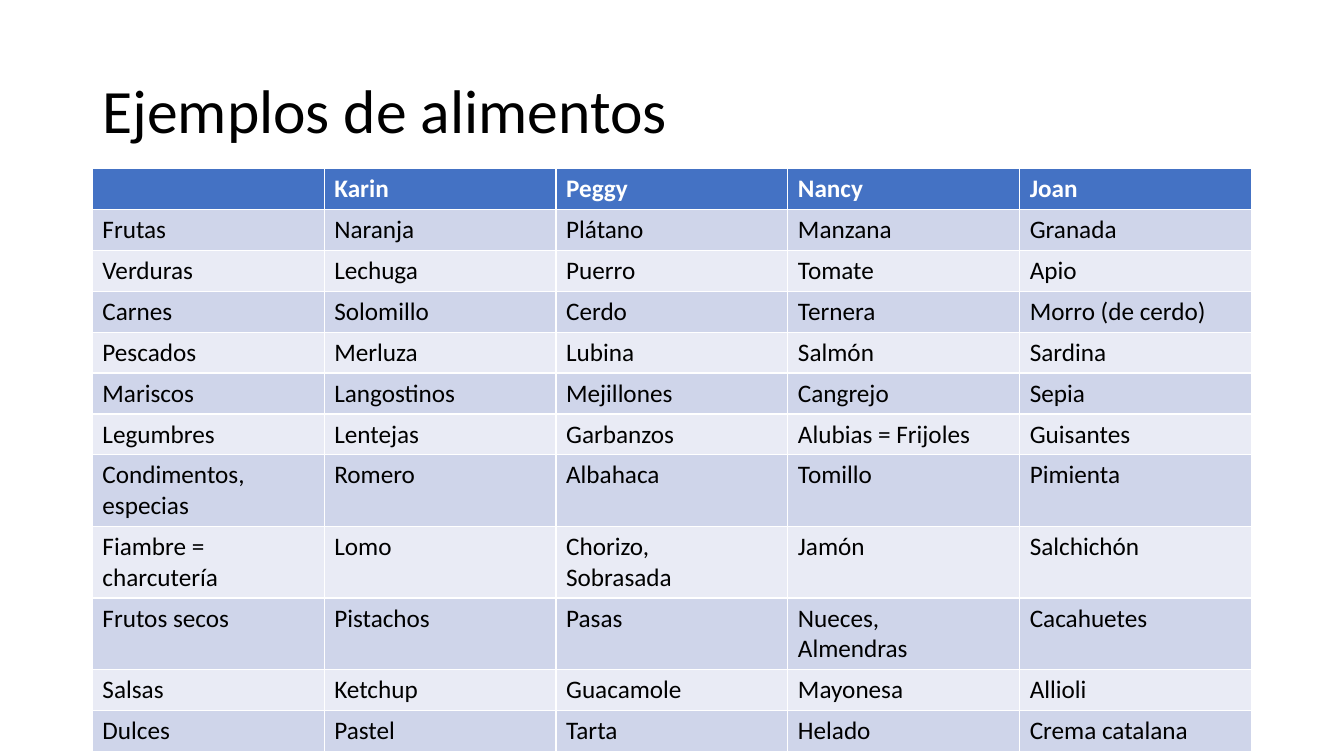
"""Build a slide with a table of example foods."""
from dataclasses import dataclass

from pptx import Presentation
from pptx.dml.color import RGBColor
from pptx.enum.text import MSO_ANCHOR, MSO_AUTO_SIZE, PP_ALIGN
from pptx.util import Pt

TITLE = "Ejemplos de alimentos"
FOODS = [
    ("", "Karin", "Peggy", "Nancy", "Joan"),
    ("Frutas", "Naranja", "Plátano", "Manzana", "Granada"),
    ("Verduras", "Lechuga", "Puerro", "Tomate", "Apio"),
    ("Carnes", "Solomillo", "Cerdo", "Ternera", "Morro (de cerdo)"),
    ("Pescados", "Merluza", "Lubina", "Salmón", "Sardina"),
    ("Mariscos", "Langostinos", "Mejillones", "Cangrejo", "Sepia"),
    ("Legumbres", "Lentejas", "Garbanzos", "Alubias = Frijoles", "Guisantes"),
    ("Condimentos, especias", "Romero", "Albahaca", "Tomillo", "Pimienta"),
    ("Fiambre = charcutería", "Lomo", "Chorizo,\nSobrasada", "Jamón", "Salchichón"),
    ("Frutos secos", "Pistachos", "Pasas", "Nueces,\nAlmendras", "Cacahuetes"),
    ("Salsas", "Ketchup", "Guacamole", "Mayonesa", "Allioli"),
    ("Dulces", "Pastel", "Tarta", "Helado", "Crema catalana"),
]


@dataclass(frozen=True)
class Theme:
    """Colours, font and type sizes of the slide."""

    font: str = "Calibri"
    title_size: float = 44
    table_size: float = 18
    text: str = "000000"
    header_text: str = "FFFFFF"
    header_fill: str = "4472C4"
    bands: tuple = ("CFD5EA", "E9EBF5")


THEME = Theme()
LEFT, WIDTH = 66, 828
TITLE_TOP, TITLE_HEIGHT = 28.8, 104.4
TABLE_TOP, ROW_HEIGHT = 120.5, 29.2


def add_run(paragraph, text, size, color, bold=False):
    """Add one formatted run to a paragraph."""
    run = paragraph.add_run()
    run.text = text
    run.font.name = THEME.font
    run.font.size = Pt(size)
    run.font.bold = bold
    run.font.color.rgb = RGBColor.from_string(color)


def fill_title(title):
    """Place and write the title."""
    title.left, title.top = Pt(LEFT), Pt(TITLE_TOP)
    title.width, title.height = Pt(WIDTH), Pt(TITLE_HEIGHT)
    frame = title.text_frame
    frame.auto_size = MSO_AUTO_SIZE.NONE
    frame.vertical_anchor = MSO_ANCHOR.MIDDLE
    paragraph = frame.paragraphs[0]
    paragraph.alignment = PP_ALIGN.LEFT
    paragraph.line_spacing = 0.9
    add_run(paragraph, TITLE, THEME.title_size, THEME.text)


def fill_cell(cell, text, fill, color, bold):
    """Colour a cell and write each line as a paragraph."""
    cell.fill.solid()
    cell.fill.fore_color.rgb = RGBColor.from_string(fill)
    frame = cell.text_frame
    for index, line in enumerate(text.splitlines()):
        paragraph = frame.add_paragraph() if index else frame.paragraphs[0]
        add_run(paragraph, line, THEME.table_size, color, bold)


def add_food_table(slide):
    """Add the table with a header and alternating bands."""
    row_count, column_count = len(FOODS), len(FOODS[0])
    table = slide.shapes.add_table(
        row_count, column_count, Pt(LEFT), Pt(TABLE_TOP), Pt(WIDTH), Pt(ROW_HEIGHT * row_count)
    ).table
    for column in table.columns:
        column.width = Pt(WIDTH / column_count)
    for row_index, foods in enumerate(FOODS):
        table.rows[row_index].height = Pt(ROW_HEIGHT)
        header = row_index == 0
        fill = THEME.header_fill if header else THEME.bands[(row_index - 1) % 2]
        color = THEME.header_text if header else THEME.text
        for column_index, food in enumerate(foods):
            fill_cell(table.cell(row_index, column_index), food, fill, color, header)


def main():
    """Create and save the presentation."""
    presentation = Presentation()
    presentation.slide_width, presentation.slide_height = Pt(960), Pt(540)
    slide = presentation.slides.add_slide(presentation.slide_layouts[5])
    fill_title(slide.shapes.title)
    add_food_table(slide)
    presentation.save("out.pptx")


if __name__ == "__main__":
    main()
